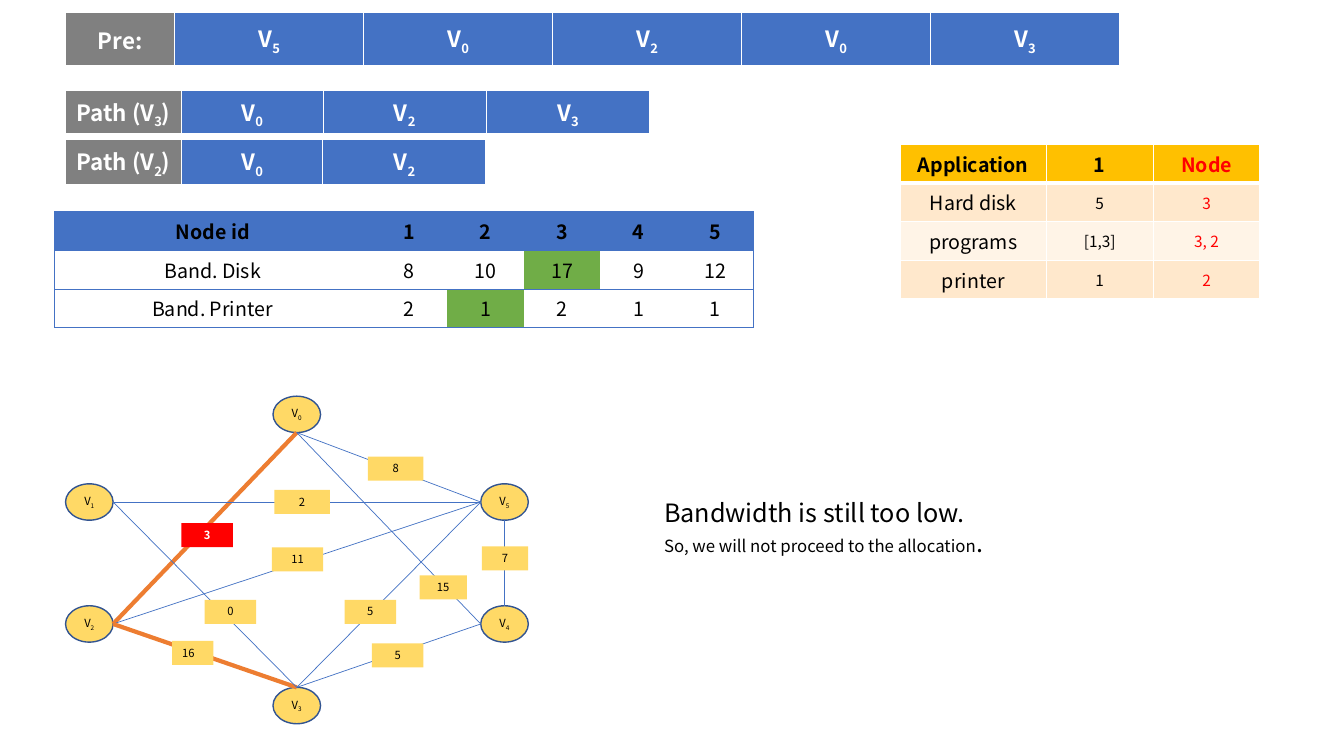
from dataclasses import dataclass

from lxml import etree
from pptx import Presentation
from pptx.dml.color import RGBColor
from pptx.enum import shapes, text
from pptx.oxml import ns
from pptx.util import Pt

# An underscore puts the next character in subscript.
STRIPS = [  # left, top, height, column widths, cells
    (46.8, 99.4, 33.1, [82.8, 101, 116.6], ["Path (V_2)", "V_0", "V_2"]),
    (46.8, 64.8, 31.7, [82.8, 101.2, 116.6, 116.6],
     ["Path (V_3)", "V_0", "V_2", "V_3"]),
    (46.8, 8.8, 38.8, [78] + [135] * 5,
     ["Pre:", "V_5", "V_0", "V_2", "V_0", "V_3"]),
]
APPLICATION = [
    ["Application", "1", "Node"],
    ["Hard disk", "5", "3"],
    ["programs", "[1,3]", "3, 2"],
    ["printer", "1", "2"],
]
BANDWIDTH = [
    ["Node id", "1", "2", "3", "4", "5"],
    ["Band. Disk", "8", "10", "17", "9", "12"],
    ["Band. Printer", "2", "1", "2", "1", "1"],
]
CHOSEN = {(1, 3), (2, 2)}  # row, column of the selected bandwidths

NODES = {  # left, top
    "V_0": (195, 283), "V_1": (46.8, 345.6), "V_2": (46.8, 432.7),
    "V_3": (195, 491), "V_5": (343.4, 345.6), "V_4": (343.4, 432.7),
}
NODE_W, NODE_H = 34, 26
SIDES = {"top": (0.5, 0), "bottom": (0.5, 1), "left": (0, 0.5), "right": (1, 0.5)}
FACING = {"V_0": "bottom", "V_1": "right", "V_2": "right",
          "V_3": "top", "V_4": "left", "V_5": "left"}
EDGES = [  # from, to, weight, label left, label top, label width
    ("V_0", "V_2", "3", 129.6, 373.6, 36.7),
    ("V_0", "V_4", "15", 299.7, 411, 33.8),
    ("V_5", "V_2", "11", 194.2, 391, 36.7),
    ("V_3", "V_2", "16", 123, 457.8, 29.5),
    ("V_3", "V_4", "5", 265.7, 459.5, 36.7),
    ("V_3", "V_5", "5", 246.2, 428.4, 36.7),
    ("V_4", "V_5", "7", 344.2, 390.3, 33.1),
    ("V_1", "V_5", "2", 196, 349.9, 39.6),
    ("V_1", "V_3", "0", 146.2, 428.4, 36.7),
    ("V_0", "V_5", "8", 262.8, 326.2, 39.6),
]
ROUTE = {("V_0", "V_2"), ("V_3", "V_2")}
TOO_LOW = ("V_0", "V_2")
LABEL_H = 17.2
VERDICT = [[("Bandwidth is still too low.", 18)],
           [("So, we will not proceed to the allocation", 12), (".", 18)]]


@dataclass(frozen=True)
class Theme:
    font: str = "Noto Sans CJK JP"
    ink: str = "000000"
    white: str = "FFFFFF"
    red: str = "FF0000"
    blue: str = "4472C4"
    navy: str = "325491"
    gray: str = "808080"
    green: str = "70AD47"
    orange: str = "ED7D31"
    yellow: str = "FFD966"
    gold: str = "FFC000"
    bands: tuple = ("FFF4E7", "FFE8CC")
    strip: int = 16
    table: int = 14
    detail: int = 11
    graph: int = 8


T = Theme()
NO_STYLE = "{2D5ABB26-0587-4C30-8999-92F81FD0307C}"
WIDE, TIGHT = (7.2, 3.6), (0.7, 0.5)
CENTER = text.PP_ALIGN.CENTER
TOP, MIDDLE = text.MSO_ANCHOR.TOP, text.MSO_ANCHOR.MIDDLE


def rgb(value):
    return RGBColor.from_string(value)


def write(p, value, size, color=T.ink, bold=False, align=CENTER):
    p.alignment = align
    p.font.name, p.font.size, p.font.bold = T.font, Pt(size), bold
    p.font.color.rgb = rgb(color)
    before, _, rest = value.partition("_")
    for part, baseline in ((before, None), (rest[:1], "-25000"), (rest[1:], None)):
        if part:
            r = p.add_run()
            r.text = part
            if baseline:
                r._r.get_or_add_rPr().set("baseline", baseline)


def set_borders(cell, borders):
    """Borders map a side (L, R, T, B) to its colour and width."""
    tc_pr = cell._tc.get_or_add_tcPr()
    sides = [side for side in "LRTB" if side in borders]
    for i, side in enumerate(sides):
        color, width = borders[side]
        ln = etree.Element(ns.qn(f"a:ln{side}"), w=str(Pt(width)))
        solid = etree.SubElement(ln, ns.qn("a:solidFill"))
        etree.SubElement(solid, ns.qn("a:srgbClr"), val=color)
        tc_pr.insert(i, ln)


def add_grid(slide, left, top, widths, row_h, rows, look):
    """Add a table; look(row, column) gives fill, inset, anchor, borders and font."""
    frame = slide.shapes.add_table(len(rows), len(widths), Pt(left), Pt(top),
                                   Pt(sum(widths)), Pt(row_h * len(rows)))
    tbl = frame.table
    tbl.first_row = tbl.horz_banding = False
    tbl._tbl.tblPr.find(ns.qn("a:tableStyleId")).text = NO_STYLE
    for column, width in zip(tbl.columns, widths):
        column.width = Pt(width)
    for i, row in enumerate(rows):
        tbl.rows[i].height = Pt(row_h)
        for j, value in enumerate(row):
            cell = tbl.cell(i, j)
            fill, (dx, dy), anchor, borders, font = look(i, j)
            cell.margin_left = cell.margin_right = Pt(dx)
            cell.margin_top = cell.margin_bottom = Pt(dy)
            cell.vertical_anchor = anchor
            if fill:
                cell.fill.solid()
                cell.fill.fore_color.rgb = rgb(fill)
            else:
                cell.fill.background()
            set_borders(cell, borders)
            write(cell.text_frame.paragraphs[0], value, **font)


def strip_look(i, j):
    borders = {side: (T.white, 1) for side in "LRT"} | {"B": (T.white, 3)}
    return (T.blue if j else T.gray, TIGHT, MIDDLE, borders,
            dict(size=T.strip, color=T.white, bold=True))


def application_look(i, j):
    borders = {side: (T.white, 1) for side in "LRTB"}
    if i < 2:
        borders["T" if i else "B"] = (T.white, 3)
    detail = i > 0 and j > 0
    font = dict(size=T.detail if detail else T.table,
                color=T.red if j == 2 else T.ink, bold=i == 0)
    return (T.bands[i % 2] if i else T.gold, TIGHT if detail else WIDE,
            MIDDLE, borders, font)


def bandwidth_look(i, j):
    sides = "TB" + {0: "L", len(BANDWIDTH[0]) - 1: "R"}.get(j, "")
    fill = T.blue if i == 0 else T.green if (i, j) in CHOSEN else None
    return (fill, WIDE, TOP, {side: (T.blue, 0.5) for side in sides},
            dict(size=T.table, bold=i == 0))


def add_tag(slide, kind, left, top, width, height, fill, outline=None):
    sp = slide.shapes.add_shape(kind, Pt(left), Pt(top), Pt(width), Pt(height))
    sp.shadow.inherit = False
    sp.fill.solid()
    sp.fill.fore_color.rgb = rgb(fill)
    if outline:
        sp.line.color.rgb, sp.line.width = rgb(outline), Pt(1)
    else:
        sp.line.fill.background()
    return sp.text_frame


def add_edge(slide, a, b):
    sides = ("top", "bottom") if (a, b) == ("V_4", "V_5") else (FACING[a], FACING[b])
    ends = []
    for node, side in zip((a, b), sides):
        (x, y), (fx, fy) = NODES[node], SIDES[side]
        ends += [Pt(x + fx * NODE_W), Pt(y + fy * NODE_H)]
    line = slide.shapes.add_connector(shapes.MSO_CONNECTOR.STRAIGHT, *ends)
    on_route = (a, b) in ROUTE
    line.line.color.rgb = rgb(T.orange if on_route else T.blue)
    line.line.width = Pt(3 if on_route else 0.5)
    etree.SubElement(line._element.spPr, ns.qn("a:effectLst"))


def add_graph(slide):
    for name, (x, y) in NODES.items():
        tf = add_tag(slide, shapes.MSO_SHAPE.OVAL, x, y, NODE_W, NODE_H, T.yellow, T.navy)
        tf.margin_left = tf.margin_right = tf.margin_top = tf.margin_bottom = 0
        tf.vertical_anchor = MIDDLE
        write(tf.paragraphs[0], name, T.graph)
    for a, b, *_ in EDGES:
        add_edge(slide, a, b)
    for a, b, weight, x, y, width in EDGES:
        low = (a, b) == TOO_LOW
        tf = add_tag(slide, shapes.MSO_SHAPE.RECTANGLE, x, y, width, LABEL_H,
                     T.red if low else T.yellow)
        tf.word_wrap, tf.vertical_anchor = True, TOP
        write(tf.paragraphs[0], weight, T.graph, T.white if low else T.ink, low,
              text.PP_ALIGN.LEFT if weight == "16" else CENTER)


def add_verdict(slide):
    tf = slide.shapes.add_textbox(Pt(467.3), Pt(351.4), Pt(446.4), Pt(51)).text_frame
    tf.word_wrap = True
    for i, parts in enumerate(VERDICT):
        p = tf.add_paragraph() if i else tf.paragraphs[0]
        (first, size), *others = parts
        write(p, first, size, align=text.PP_ALIGN.JUSTIFY)
        for value, other_size in others:
            r = p.add_run()
            r.text, r.font.size = value, Pt(other_size)


def main():
    prs = Presentation()
    prs.slide_width, prs.slide_height = Pt(960), Pt(540)
    slide = prs.slides.add_slide(prs.slide_layouts[6])
    add_grid(slide, 643, 103, [104.4, 76.3, 76.3], 25.8, APPLICATION, application_look)
    add_grid(slide, 38.9, 151.2, [226] + [54.7] * 5, 26.4, BANDWIDTH, bandwidth_look)
    add_graph(slide)
    for left, top, height, widths, cells in STRIPS:
        add_grid(slide, left, top, widths, height, [cells], strip_look)
    add_verdict(slide)
    prs.save("out.pptx")


if __name__ == "__main__":
    main()
